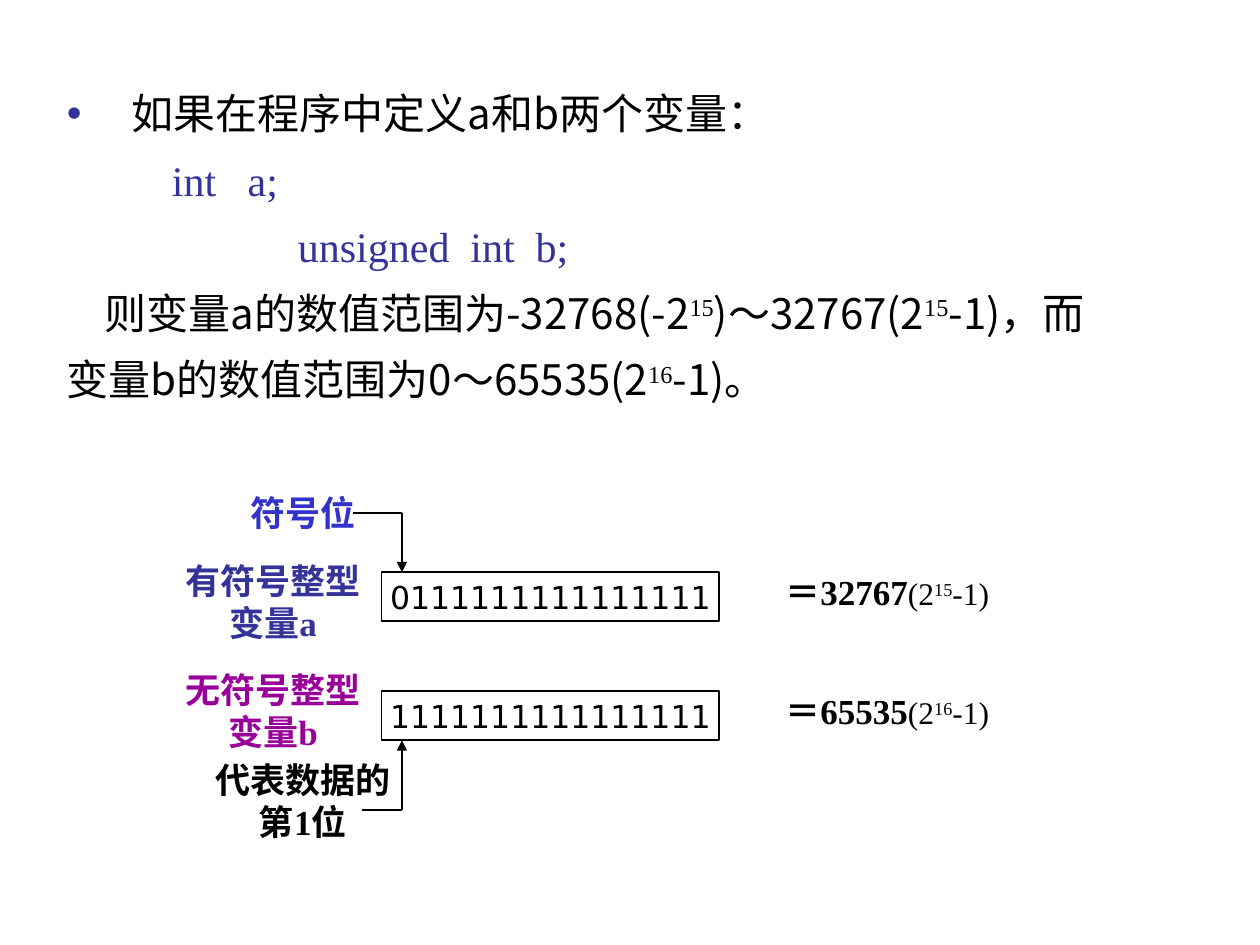
from lxml.etree import SubElement as Sub
from pptx import Presentation
from pptx.dml.color import RGBColor as Rgb
from pptx.enum.shapes import MSO_CONNECTOR as Conn, MSO_SHAPE as Kind
from pptx.enum.text import MSO_ANCHOR as Anchor, MSO_AUTO_SIZE as Fit, PP_ALIGN as Align
from pptx.oxml.ns import qn
from pptx.util import Pt

TIMES, SANS, MONO = "Times New Roman", "Noto Sans CJK SC", "DejaVu Sans"
BLACK, BLUE, ROYAL, PURPLE, WHITE = "000000", "333399", "3333CC", "990099", "FFFFFF"

PLAIN = {"name": SANS, "size": Pt(24), "color": BLACK}
CODE = {"name": TIMES, "size": Pt(24), "color": BLUE}
BITS = {"name": MONO, "size": Pt(18), "color": BLACK}
BOLD = {"name": TIMES, "size": Pt(20), "color": BLACK, "bold": True}
POWER = {"name": TIMES, "size": Pt(18), "color": BLACK}

BODY = [
    ("如果在程序中定义a和b两个变量：", PLAIN, 37, -37, "•"),
    ("int   a;", CODE, 60, 0, None),
    ("unsigned  int  b;", CODE, 132, 0, None),
    ("则变量a的数值范围为-32768(-2^15^)～32767(2^15^-1)，而", PLAIN, 0, 21.6, None),
    ("变量b的数值范围为0～65535(2^16^-1)。", PLAIN, 0, 0, None),
]
LABELS = [
    (["符号位"], ROYAL, 173, 293),
    (["有符号整型", "变量a"], BLUE, 156, 344),
    (["无符号整型", "变量b"], PURPLE, 156, 406),
    (["代表数据的", "第1位"], BLACK, 173, 457.5),
]
ROWS = [
    ("0111111111111111", "＝32767", "(2^15^-1)", 327, 338),
    ("1111111111111111", "＝65535", "(2^16^-1)", 395, 406),
]
BOX_X, BOX_W, BOX_H = 218, 193, 28
SUM_X, SUM_W, LABEL_W = 507, 140, 118
BIT_X = 229.7
HOOKS = [(201.6, 293, ROWS[0][3]), (207, 463, ROWS[1][3] + BOX_H)]


def paint(text):
    return Rgb.from_string(text)


def write(para, text, style):
    for spot, part in enumerate(text.split("^")):
        run = para.add_run()
        run.text = part
        for key, value in style.items():
            if key == "color":
                run.font.color.rgb = paint(value)
            else:
                setattr(run.font, key, value)
        props = run.font._element
        if spot % 2:
            run.font.name = TIMES
            props.set("baseline", "30000")
        Sub(props, qn("a:ea"), typeface=SANS)


def fill(frame, lines):
    for key, value in {"word_wrap": False, "vertical_anchor": Anchor.MIDDLE}.items():
        setattr(frame, key, value)
    for spot, runs in enumerate(lines):
        para = frame.add_paragraph() if spot else frame.paragraphs[0]
        para.alignment = Align.CENTER
        for text, style in runs:
            write(para, text, style)


def label(mid_x, mid_y, wide, lines):
    high = 8 + 24 * len(lines)
    box = slide.shapes.add_textbox(Pt(mid_x - wide / 2), Pt(mid_y - high / 2), Pt(wide), Pt(high))
    fill(box.text_frame, lines)


def line(x1, y1, x2, y2, arrow=False):
    link = slide.shapes.add_connector(Conn.STRAIGHT, Pt(x1), Pt(y1), Pt(x2), Pt(y2))
    link.line.width = Pt(1)
    link.line.color.rgb = paint(BLACK)
    if arrow:
        Sub(link.line._get_or_add_ln(), qn("a:tailEnd"), type="triangle")
    Sub(link._element.spPr, qn("a:effectLst"))


deck = Presentation()
deck.slide_width, deck.slide_height = Pt(720), Pt(540)
slide = deck.slides.add_slide(deck.slide_layouts[1])
title, body = slide.placeholders
title._element.getparent().remove(title._element)

for key, value in {"left": 31, "top": 40.8, "width": 652, "height": 221}.items():
    setattr(body, key, Pt(value))
frame = body.text_frame
for key, value in {"auto_size": Fit.NONE, "word_wrap": True, "margin_top": 0,
                   "vertical_anchor": Anchor.TOP}.items():
    setattr(frame, key, value)
for spot, (text, style, left, first, mark) in enumerate(BODY):
    para = frame.add_paragraph() if spot else frame.paragraphs[0]
    props = para._p.get_or_add_pPr()
    props.set("marL", str(Pt(left)))
    props.set("indent", str(Pt(first)))
    para.line_spacing, para.space_before = Pt(38), Pt(0)
    if mark:
        Sub(Sub(props, qn("a:buClr")), qn("a:srgbClr"), val=BLUE)
        Sub(props, qn("a:buChar"), char=mark)
    else:
        Sub(props, qn("a:buNone"))
    write(para, text, style)

for bits, value, power, top, mid in ROWS:
    box = slide.shapes.add_shape(Kind.RECTANGLE, Pt(BOX_X), Pt(top), Pt(BOX_W), Pt(BOX_H))
    box.shadow.inherit = False
    box.fill.solid()
    box.fill.fore_color.rgb = paint(WHITE)
    box.line.color.rgb = paint(BLACK)
    box.line.width = Pt(1)
    fill(box.text_frame, [[(bits, BITS)]])
    label(SUM_X, mid, SUM_W, [[(value, BOLD), (power, POWER)]])

for lines, color, mid_x, mid_y in LABELS:
    label(mid_x, mid_y, LABEL_W, [[(text, {**BOLD, "color": color})] for text in lines])

for start, level, end in HOOKS:
    line(start, level, BIT_X, level)
    line(BIT_X, level, BIT_X, end, arrow=True)

deck.save("out.pptx")
